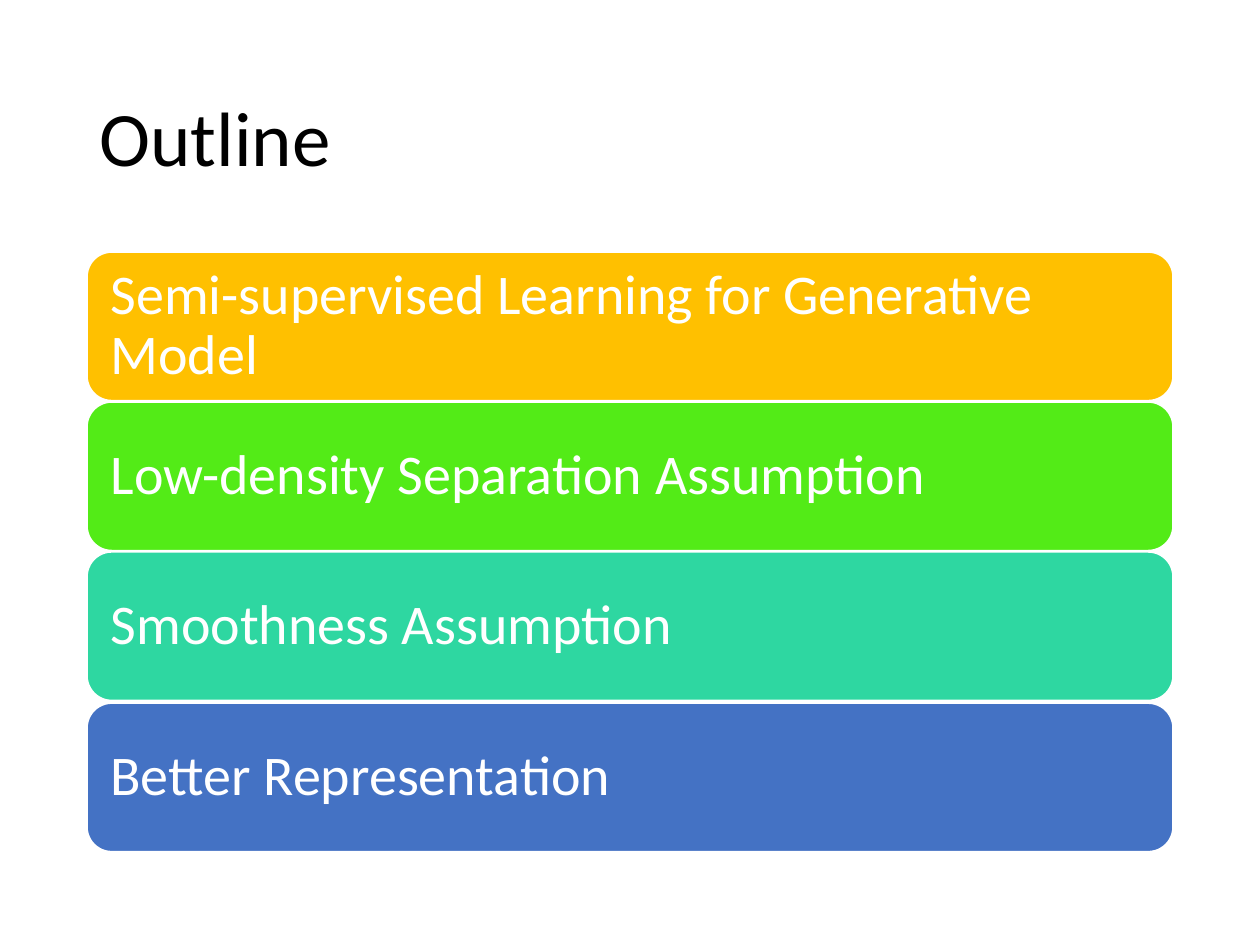
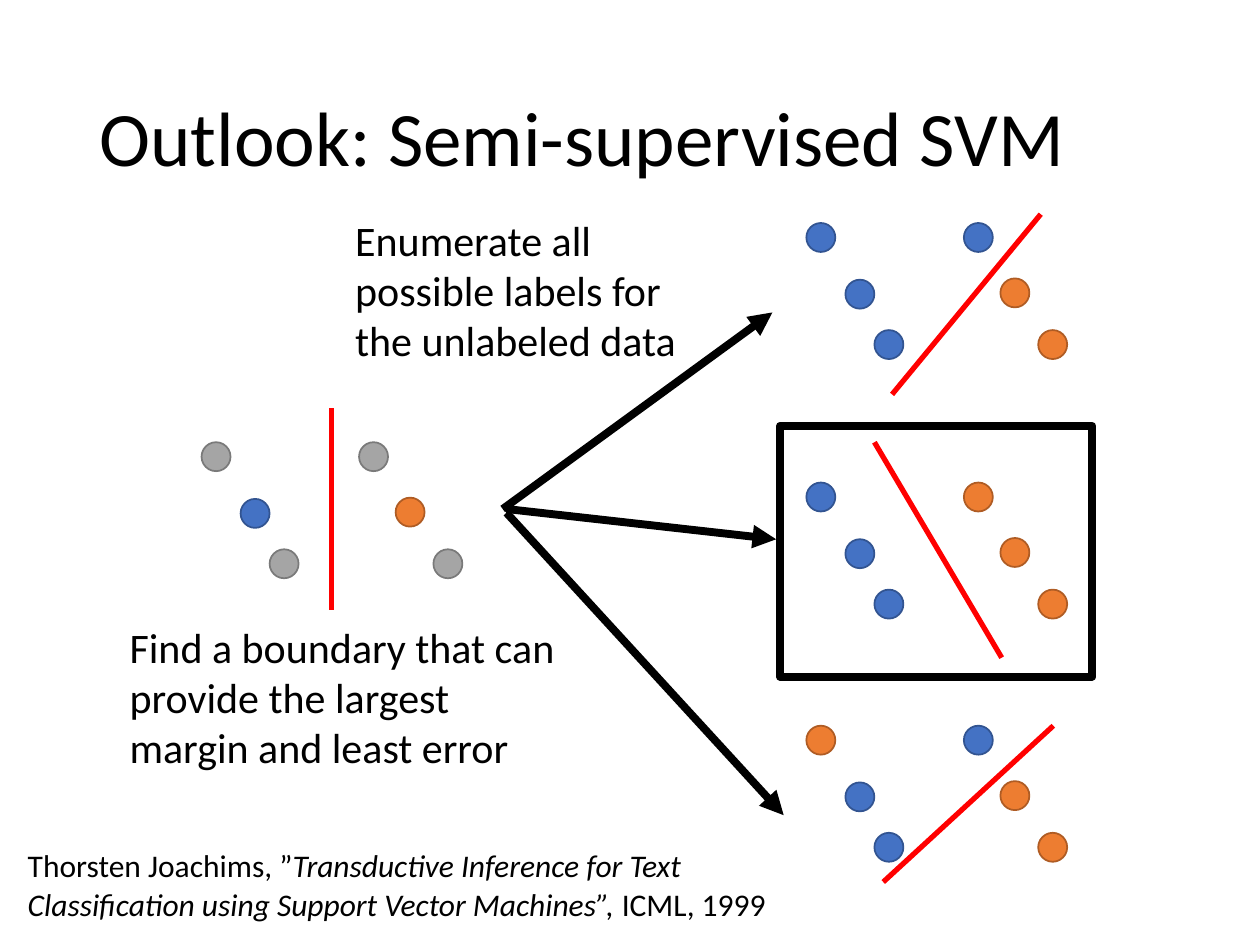
import dataclasses

import lxml.etree
import pptx
import pptx.dml.color
import pptx.enum.shapes
import pptx.enum.text
import pptx.oxml.ns
import pptx.util

RGBColor = pptx.dml.color.RGBColor
MSO_SHAPE = pptx.enum.shapes.MSO_SHAPE

# Scale: 100 px to the inch
EMU_PER_PX = 9144
FONT = "Calibri"

BLACK = RGBColor(0x00, 0x00, 0x00)
WHITE = RGBColor(0xFF, 0xFF, 0xFF)
RED = RGBColor(0xFF, 0x00, 0x00)
GOLD = RGBColor(0xFF, 0xC0, 0x00)
GREEN = RGBColor(0x53, 0xEB, 0x17)
TEAL = RGBColor(0x2E, 0xD7, 0xA1)
BLUE = RGBColor(0x44, 0x72, 0xC4)
BLUE_EDGE = RGBColor(0x32, 0x54, 0x91)
ORANGE = RGBColor(0xED, 0x7D, 0x31)
ORANGE_EDGE = RGBColor(0xAF, 0x5C, 0x24)
GRAY = RGBColor(0xA5, 0xA5, 0xA5)
GRAY_EDGE = RGBColor(0x7A, 0x7A, 0x7A)


@dataclasses.dataclass(frozen=True)
class Box:
    left: int
    top: int
    width: int
    height: int

    def emu(self) -> tuple[int, ...]:
        return tuple(px(value) for value in dataclasses.astuple(self))


@dataclasses.dataclass(frozen=True)
class Line:
    start: tuple[int, int]
    end: tuple[int, int]


@dataclasses.dataclass(frozen=True)
class Topic:
    text: str
    color: RGBColor


@dataclasses.dataclass(frozen=True)
class Cluster:
    """Six data points; each letter of labels gives one point's class."""
    left: int
    top: int
    labels: str
    boundary: Line


TITLE_BOX = Box(69, 40, 862, 145)

# Outline slide
TOPICS = (
    Topic("Semi-supervised Learning for Generative Model", GOLD),
    Topic("Low-density Separation Assumption", GREEN),
    Topic("Smoothness Assumption", TEAL),
    Topic("Better Representation", BLUE),
)
BAR_LEFT, BAR_WIDTH, BAR_HEIGHT = 69, 862, 118
FIRST_BAR_TOP, LAST_BAR_TOP = 200, 558
BAR_INSET = 13

# SVM slide
POINT_SIZE = 23
POINT_OFFSETS = ((0, 0), (31, 45), (54, 85), (125, 0), (154, 44), (184, 85))
LABEL_COLORS = {
    "B": (BLUE, BLUE_EDGE),
    "O": (ORANGE, ORANGE_EDGE),
    "U": (GRAY, GRAY_EDGE),
}
CLUSTERS = (
    Cluster(160, 351, "UBUUOU", Line((263, 324), (263, 484))),
    Cluster(640, 177, "BBBBOO", Line((826, 170), (708, 313))),
    Cluster(640, 383, "BBBOOO", Line((694, 351), (795, 522))),
    Cluster(640, 576, "OBBBOO", Line((836, 576), (701, 700))),
)
ARROWS = (
    Line((399, 404), (613, 248)),
    Line((402, 404), (616, 428)),
    Line((402, 407), (622, 647)),
)
BEST_FRAME = Box(619, 338, 248, 199)
CAPTIONS = (
    (Box(93, 488, 358, 131),
     "Find a boundary that can provide the largest margin and least error"),
    (Box(272, 165, 285, 131),
     "Enumerate all possible labels for the unlabeled data"),
)
CITATION_BOX = Box(17, 668, 597, 70)
CITATION = (
    ("Thorsten Joachims, ”", False),
    ("Transductive Inference for Text Classification using Support Vector Machines”, ", True),
    ("ICML, 1999", False),
)


def px(value: int) -> int:
    return value * EMU_PER_PX


def style_font(font, size: int, color: RGBColor = BLACK) -> None:
    font.name = FONT
    font.size = pptx.util.Pt(size)
    font.color.rgb = color


def set_text(shape, text: str, size: int, color: RGBColor = BLACK) -> None:
    shape.text_frame.word_wrap = True
    shape.text_frame.text = text
    paragraph = shape.text_frame.paragraphs[0]
    paragraph.alignment = pptx.enum.text.PP_ALIGN.LEFT
    for run in paragraph.runs:
        style_font(run.font, size, color)


def center_lines(shape) -> None:
    """Vertical centring and tight lines, used by titles and bars."""
    shape.text_frame.vertical_anchor = pptx.enum.text.MSO_ANCHOR.MIDDLE
    shape.text_frame.paragraphs[0].line_spacing = 0.9


def add_text(slide, box: Box, text: str, size: int):
    shape = slide.shapes.add_textbox(*box.emu())
    set_text(shape, text, size)
    return shape


def add_titled_slide(presentation, title: str):
    slide = presentation.slides.add_slide(presentation.slide_layouts[6])
    center_lines(add_text(slide, TITLE_BOX, title, 44))
    return slide


def add_figure(slide, kind, box: Box, fill: RGBColor | None,
               edge: RGBColor, edge_width: float = 1):
    shape = slide.shapes.add_shape(kind, *box.emu())
    shape.shadow.inherit = False
    if fill is None:
        shape.fill.background()
    else:
        shape.fill.solid()
        shape.fill.fore_color.rgb = fill
    shape.line.color.rgb = edge
    shape.line.width = pptx.util.Pt(edge_width)
    return shape


def add_line(slide, line: Line, color: RGBColor, width: float, arrow: bool = False) -> None:
    connector = slide.shapes.add_connector(
        pptx.enum.shapes.MSO_CONNECTOR.STRAIGHT,
        *(px(value) for value in line.start + line.end))
    connector.line.color.rgb = color
    connector.line.width = pptx.util.Pt(width)
    qn = pptx.oxml.ns.qn
    if arrow:
        lxml.etree.SubElement(connector.line._get_or_add_ln(), qn("a:tailEnd"), type="triangle")
    lxml.etree.SubElement(connector._element.spPr, qn("a:effectLst"))


def add_topic_bar(slide, topic: Topic, top: int) -> None:
    box = Box(BAR_LEFT, top, BAR_WIDTH, BAR_HEIGHT)
    bar = add_figure(slide, MSO_SHAPE.ROUNDED_RECTANGLE, box, topic.color, WHITE)
    set_text(bar, topic.text, 32, WHITE)
    center_lines(bar)
    frame = bar.text_frame
    frame.margin_left = frame.margin_right = px(BAR_INSET)
    frame.margin_top = frame.margin_bottom = px(BAR_INSET)


def add_cluster(slide, cluster: Cluster) -> None:
    for label, (across, down) in zip(cluster.labels, POINT_OFFSETS):
        box = Box(cluster.left + across, cluster.top + down, POINT_SIZE, POINT_SIZE)
        add_figure(slide, MSO_SHAPE.OVAL, box, *LABEL_COLORS[label])
    add_line(slide, cluster.boundary, RED, 3)


def add_citation(slide) -> None:
    table = slide.shapes.add_table(1, 1, *CITATION_BOX.emu()).table
    table.first_row = table.horz_banding = False
    cell = table.cell(0, 0)
    cell.fill.background()
    cell.margin_left = cell.margin_right = px(5)
    cell.margin_top = cell.margin_bottom = px(5)
    paragraph = cell.text_frame.paragraphs[0]
    for text, italic in CITATION:
        run = paragraph.add_run()
        run.text = text
        style_font(run.font, 18)
        run.font.italic = italic


def build_outline(presentation) -> None:
    slide = add_titled_slide(presentation, "Outline")
    for index, topic in enumerate(TOPICS):
        shift = (LAST_BAR_TOP - FIRST_BAR_TOP) * index // (len(TOPICS) - 1)
        add_topic_bar(slide, topic, FIRST_BAR_TOP + shift)


def build_svm(presentation) -> None:
    slide = add_titled_slide(presentation, "Outlook: Semi-supervised SVM")
    for cluster in CLUSTERS:
        add_cluster(slide, cluster)
    for box, text in CAPTIONS:
        add_text(slide, box, text, 24)
    for arrow in ARROWS:
        add_line(slide, arrow, BLACK, 4.5, arrow=True)
    add_citation(slide)
    add_figure(slide, MSO_SHAPE.RECTANGLE, BEST_FRAME, None, BLACK, 4.5)


def main() -> None:
    presentation = pptx.Presentation()
    presentation.slide_width = px(1000)
    presentation.slide_height = px(750)
    build_outline(presentation)
    build_svm(presentation)
    presentation.save("out.pptx")


if __name__ == "__main__":
    main()
